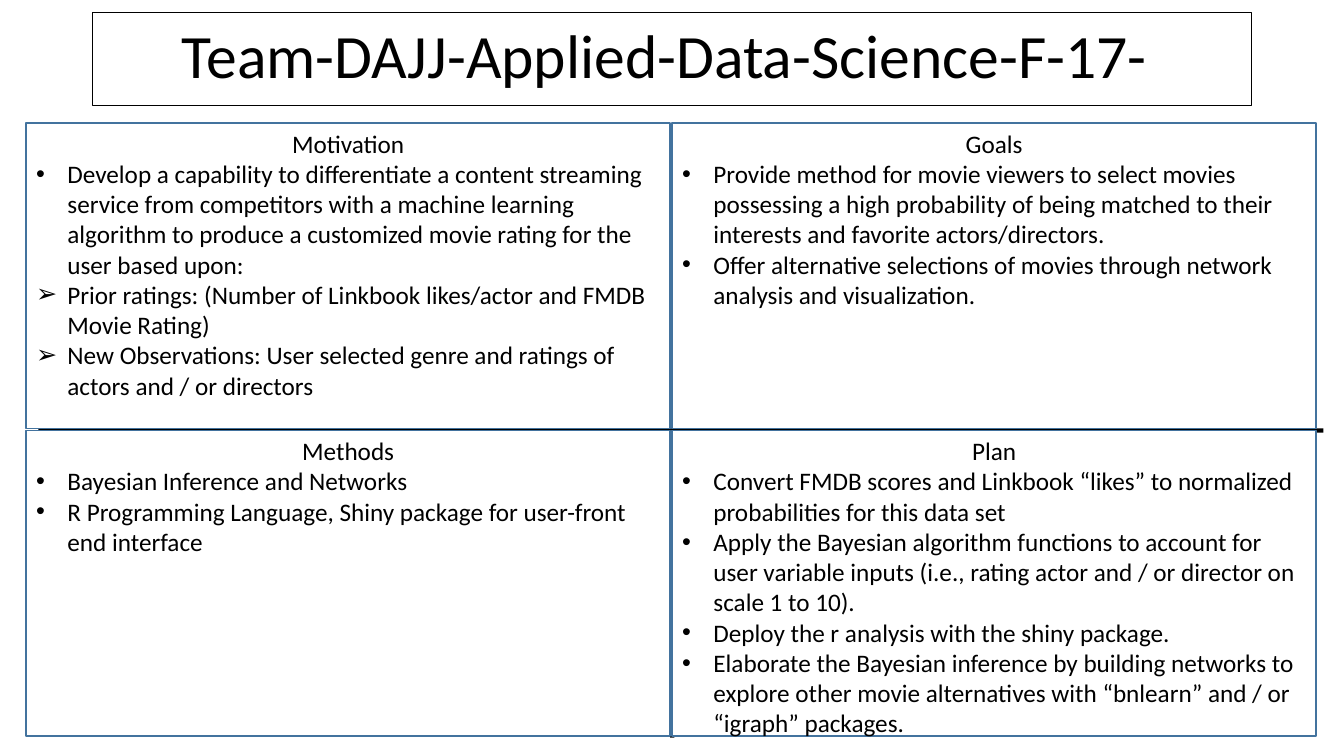
"""Build a project quad chart: motivation, goals, methods and plan."""
from lxml import etree
from pptx import Presentation
from pptx.dml.color import RGBColor
from pptx.enum import shapes, text
from pptx.oxml import ns
from pptx.util import Cm, Pt

TITLE = "Team-DAJJ-Applied-Data-Science-F-17- "
DOT, ARROW = "•", "➢"
QUADRANTS = [
    ("Motivation", [
        (DOT, "Develop a capability to differentiate a content streaming service from competitors "
              "with a machine learning algorithm to produce a customized movie rating for the "
              "user based upon:"),
        (ARROW, "Prior ratings: (Number of Linkbook likes/actor and FMDB Movie Rating)"),
        (ARROW, "New Observations: User selected genre and ratings of actors and / or directors"),
    ]),
    ("Goals", [
        (DOT, "Provide method for movie viewers to select movies possessing a high probability of "
              "being matched to their interests and favorite actors/directors."),
        (DOT, "Offer alternative selections of movies through network analysis and visualization."),
    ]),
    ("Methods", [
        (DOT, "Bayesian Inference and Networks"),
        (DOT, "R Programming Language, Shiny package for user-front end interface"),
    ]),
    ("Plan", [
        (DOT, "Convert FMDB scores and Linkbook “likes” to normalized probabilities for this "
              "data set"),
        (DOT, "Apply the Bayesian algorithm functions to account for user variable inputs (i.e., "
              "rating actor and / or director on scale 1 to 10)."),
        (DOT, "Deploy the r analysis with the shiny package."),
        (DOT, "Elaborate the Bayesian inference by building networks to explore other movie "
              "alternatives with “bnlearn” and / or “igraph” packages."),
    ]),
]
AXES = [(16.94, 18.59, 16.92, 3.1), (33.35, 10.85, 0.97, 10.8)]

BLACK = RGBColor(0x00, 0x00, 0x00)
WHITE = RGBColor(0xFF, 0xFF, 0xFF)
BLUE = RGBColor(0x43, 0x73, 0x9E)
LEFT, TOP, WIDTH, HEIGHT = 0.66, 3.1, 16.23, 7.7
STEP_X, STEP_Y = 16.28, 7.75
INDENT = Cm(0.79)


def apply_format(target, values):
    """Set each named attribute of the target."""
    for name, value in values.items():
        setattr(target, name, value)


def set_line(line, color, width):
    """Give a line its colour and width in points."""
    line.color.rgb = color
    line.width = Pt(width)


def write(para, words, size, align):
    """Fill a paragraph with one formatted span."""
    para.alignment = align
    span = para.add_run()
    span.text = words
    apply_format(span.font, {"name": "Calibri", "size": Pt(size)})
    span.font.color.rgb = BLACK


def add_bullet(para, mark):
    """Give a paragraph a hanging bullet."""
    props = para._p.get_or_add_pPr()
    props.set("marL", str(INDENT))
    props.set("indent", str(-INDENT))
    etree.SubElement(props, ns.qn("a:buFont")).set("typeface", "Arial")
    etree.SubElement(props, ns.qn("a:buChar")).set("char", mark)


def add_title(page):
    """Place and frame the title."""
    title = page.shapes.title
    apply_format(title, {"left": Cm(2.33), "top": Cm(0.31), "width": Cm(29.21), "height": Cm(2.34)})
    apply_format(title.text_frame, {"auto_size": text.MSO_AUTO_SIZE.NONE,
                                    "vertical_anchor": text.MSO_ANCHOR.MIDDLE})
    set_line(title.line, BLACK, 0.75)
    para = title.text_frame.paragraphs[0]
    para.line_spacing = 0.9
    write(para, TITLE, 44, text.PP_ALIGN.CENTER)


def add_axis(page, ends):
    """Draw one heavy dividing line."""
    axis = page.shapes.add_connector(shapes.MSO_CONNECTOR.STRAIGHT, *map(Cm, ends))
    set_line(axis.line, BLACK, 3)
    etree.SubElement(axis._element.spPr, ns.qn("a:effectLst"))


def add_quadrant(page, index, heading, items):
    """Draw one quadrant with its heading and bullets."""
    row, column = divmod(index, 2)
    box = page.shapes.add_shape(shapes.MSO_SHAPE.RECTANGLE, Cm(LEFT + column * STEP_X),
                                Cm(TOP + row * STEP_Y), Cm(WIDTH), Cm(HEIGHT))
    box.shadow.inherit = False
    box.fill.solid()
    box.fill.fore_color.rgb = WHITE
    set_line(box.line, BLUE, 1)
    frame = box.text_frame
    apply_format(frame, {"word_wrap": True, "vertical_anchor": text.MSO_ANCHOR.TOP})
    write(frame.paragraphs[0], heading, 18, text.PP_ALIGN.CENTER)
    for mark, words in items:
        para = frame.add_paragraph()
        write(para, words, 18, text.PP_ALIGN.LEFT)
        add_bullet(para, mark)


def main():
    """Assemble and save the deck."""
    deck = Presentation()
    apply_format(deck, {"slide_width": Cm(33.87), "slide_height": Cm(19.05)})
    page = deck.slides.add_slide(deck.slide_layouts[5])
    add_title(page)
    for ends in AXES:
        add_axis(page, ends)
    for index, (heading, items) in enumerate(QUADRANTS):
        add_quadrant(page, index, heading, items)
    deck.save("out.pptx")


if __name__ == "__main__":
    main()
